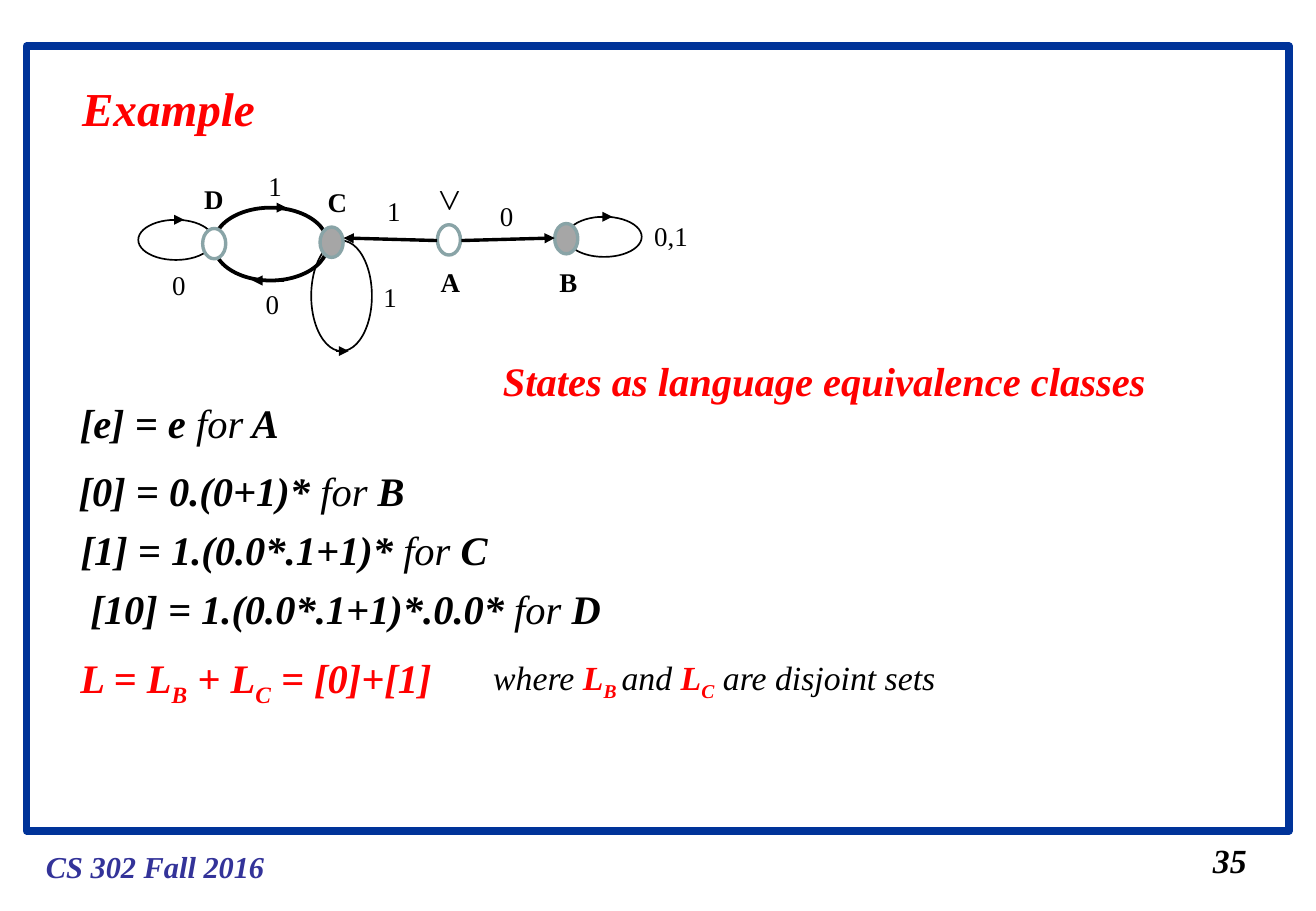
from dataclasses import dataclass

from lxml import etree
from pptx import Presentation
from pptx.dml.color import RGBColor
from pptx.enum.shapes import MSO_CONNECTOR, MSO_SHAPE
from pptx.oxml.ns import qn
from pptx.util import Pt

ELLIPSE = MSO_SHAPE.OVAL
RECTANGLE = MSO_SHAPE.RECTANGLE
STRAIGHT = MSO_CONNECTOR.STRAIGHT


@dataclass(frozen=True)
class Theme:
    font: str = "Times New Roman"
    black: str = "000000"
    red: str = "FF0000"
    white: str = "FFFFFF"
    frame: str = "003399"
    footer: str = "333399"
    state_line: str = "89A4A7"
    final_state: str = "A6A6A6"
    title_size: int = 28
    body_size: int = 24
    note_size: int = 20
    footer_size: int = 18
    label_size: int = 16


@dataclass(frozen=True)
class Box:
    left: float
    top: float
    width: float
    height: float

    def inner(self, left, top, width, height):
        return Box(self.left + left, self.top + top, width, height)

    def lengths(self):
        return Pt(self.left), Pt(self.top), Pt(self.width), Pt(self.height)


THEME = Theme()
PLAIN, BOLD, SUBSCRIPT = range(3)


def add_text(shapes, box, runs, size, color=THEME.black, italic=True, strong_color=None):
    """Runs are (text, style) pairs; strong_color colours the runs that are not plain."""
    shape = shapes.add_textbox(*box.lengths())
    shape.text_frame.word_wrap = True
    paragraph = shape.text_frame.paragraphs[0]
    font = paragraph.font
    font.name, font.size, font.italic = THEME.font, Pt(size), italic
    font.color.rgb = RGBColor.from_string(color)
    for text, style in runs:
        run = paragraph.add_run()
        run.text = text
        run.font.bold = style != PLAIN
        if strong_color and style != PLAIN:
            run.font.color.rgb = RGBColor.from_string(strong_color)
        if style == SUBSCRIPT:
            run._r.get_or_add_rPr().set("baseline", "-25000")
    return shape


def add_outline(shapes, kind, box, color, weight, fill=None):
    shape = shapes.add_shape(kind, *box.lengths())
    shape.shadow.inherit = False
    shape.line.color.rgb = RGBColor.from_string(color)
    shape.line.width = Pt(weight)
    if fill:
        shape.fill.solid()
        shape.fill.fore_color.rgb = RGBColor.from_string(fill)
    else:
        shape.fill.background()


def add_arrow(shapes, start, end, weight):
    connector = shapes.add_connector(STRAIGHT, *(Pt(value) for value in (*start, *end)))
    connector.line.color.rgb = RGBColor.from_string(THEME.black)
    connector.line.width = Pt(weight)
    etree.SubElement(connector.line._get_or_add_ln(), qn("a:tailEnd"), type="triangle")
    etree.SubElement(connector._element.spPr, qn("a:effectLst"))


def add_loop(shapes, box, weight, markers):
    """Markers are (start, end, edge, weight), as fractions of the width and height."""
    add_outline(shapes, ELLIPSE, box, THEME.black, weight)
    for start, end, edge, marker_weight in markers:
        y = box.top + edge * box.height
        add_arrow(shapes, (box.left + start * box.width, y),
                  (box.left + end * box.width, y), marker_weight)


def add_automaton(slide, box):
    shapes = slide.shapes.add_group_shape().shapes
    state_width, state_height = 13.7, 18
    state_step = 69.6
    top_marker = (0.4, 0.61, 0, 0.25)
    bottom_marker = (0.4, 0.62, 1, 0.25)
    cycle_markers = [(0.36, 0.64, 0, 0.25), (0.62, 0.34, 1, 2)]
    for bounds, weight, markers in (
        ((254, 32.5, 44.6, 23.8), 1, [top_marker]),
        ((102.6, 46.6, 36, 65.5), 1, [bottom_marker]),
        ((0, 34.3, 44.6, 23.8), 1, [top_marker]),
        ((44.7, 27.1, 67.7, 43.2), 2.25, cycle_markers),
    ):
        add_loop(shapes, box.inner(*bounds), weight, markers)

    # Centre heights and fills of D, C, A and B, from left to right
    states = ((48.4, THEME.white), (47.6, THEME.final_state),
              (46.2, THEME.white), (45.5, THEME.final_state))
    for index, (center, fill) in enumerate(states):
        bounds = box.inner(38.2 + index * state_step, center - state_height / 2,
                           state_width, state_height)
        add_outline(shapes, ELLIPSE, bounds, THEME.state_line, 2, fill)

    for start, end in ((191.6, 247), (177.2, 121.8)):
        add_arrow(shapes, (box.left + start, box.top + 46.6),
                  (box.left + end, box.top + 45.1), 2)

    for text, left, top, style in (
        ("A", 172.2, 57.7, BOLD), ("B", 242.7, 58.1, BOLD),
        ("C", 105.2, 10.6, BOLD), ("D", 32, 8.7, BOLD),
        ("0", 207.4, 18.8, PLAIN), ("0,1", 298.9, 30.7, PLAIN),
        ("1", 140.5, 15.9, PLAIN), ("1", 138.3, 66.7, PLAIN),
        ("0", 68.5, 71, PLAIN), ("1", 70.1, 0.8, PLAIN), ("0", 13, 59.8, PLAIN),
    ):
        add_text(shapes, box.inner(left, top, 36, 26.6), [(text, style)],
                 THEME.label_size, italic=False)

    start_mark = add_text(shapes, box.inner(172.2, 5.1, 28.1, 36), [(">", PLAIN)],
                          THEME.body_size, italic=False)
    start_mark.rotation = 90


def add_equivalence_classes(slide, box):
    shapes = slide.shapes
    add_text(shapes, box.inner(251.6, 0, 410, 36),
             [("States as language equivalence classes", BOLD)], THEME.body_size, THEME.red)
    for left, top, expression, conjunction, state in (
        (0.7, 25.2, "[e] = e ", "for", " A"),
        (0, 65.1, "[0] = 0.(0+1)* ", "for ", "B"),
        (1.2, 100, "[1] = 1.(0.0*.1+1)* ", "for ", "C"),
        (7, 135.4, "[10] = 1.(0.0*.1+1)*.0.0* ", "for ", "D"),
    ):
        add_text(shapes, box.inner(left, top, 330, 36),
                 [(expression, BOLD), (conjunction, PLAIN), (state, BOLD)], THEME.body_size)
    add_text(shapes, box.inner(1, 176.1, 240, 40),
             [("L = L", BOLD), ("B", SUBSCRIPT), (" + L", BOLD), ("C", SUBSCRIPT),
              (" = [0]+[1]", BOLD)], THEME.body_size, THEME.red)
    add_text(shapes, box.inner(245.8, 178.1, 290, 34.6),
             [("where ", PLAIN), ("L", BOLD), ("B ", SUBSCRIPT), ("and ", PLAIN),
              ("L", BOLD), ("C", SUBSCRIPT), (" are disjoint sets", PLAIN)],
             THEME.note_size, strong_color=THEME.red)


def add_frame(slide, box):
    """Adds the border with the title inside it and the footer below it."""
    shapes = slide.shapes
    add_outline(shapes, RECTANGLE, box, THEME.frame, 4.5)
    add_text(shapes, box.inner(4.4, 471.6, 160, 29), [("CS 302 Fall 2016", BOLD)],
             THEME.footer_size, THEME.footer)
    add_text(shapes, box.inner(696.5, 467, 40, 31.7), [("35", BOLD)], THEME.note_size)
    add_text(shapes, box.inner(25.8, 16.2, 130, 41), [("Example", BOLD)],
             THEME.title_size, THEME.red)


def main():
    presentation = Presentation()
    presentation.slide_width, presentation.slide_height = Pt(780.48), Pt(540)
    slide = presentation.slides.add_slide(presentation.slide_layouts[6])
    add_frame(slide, Box(15.8, 27.4, 748.8, 465.1))
    add_automaton(slide, Box(82, 96, 335, 114))
    add_equivalence_classes(slide, Box(39.6, 207.4, 662, 216))
    presentation.save("out.pptx")


if __name__ == "__main__":
    main()
